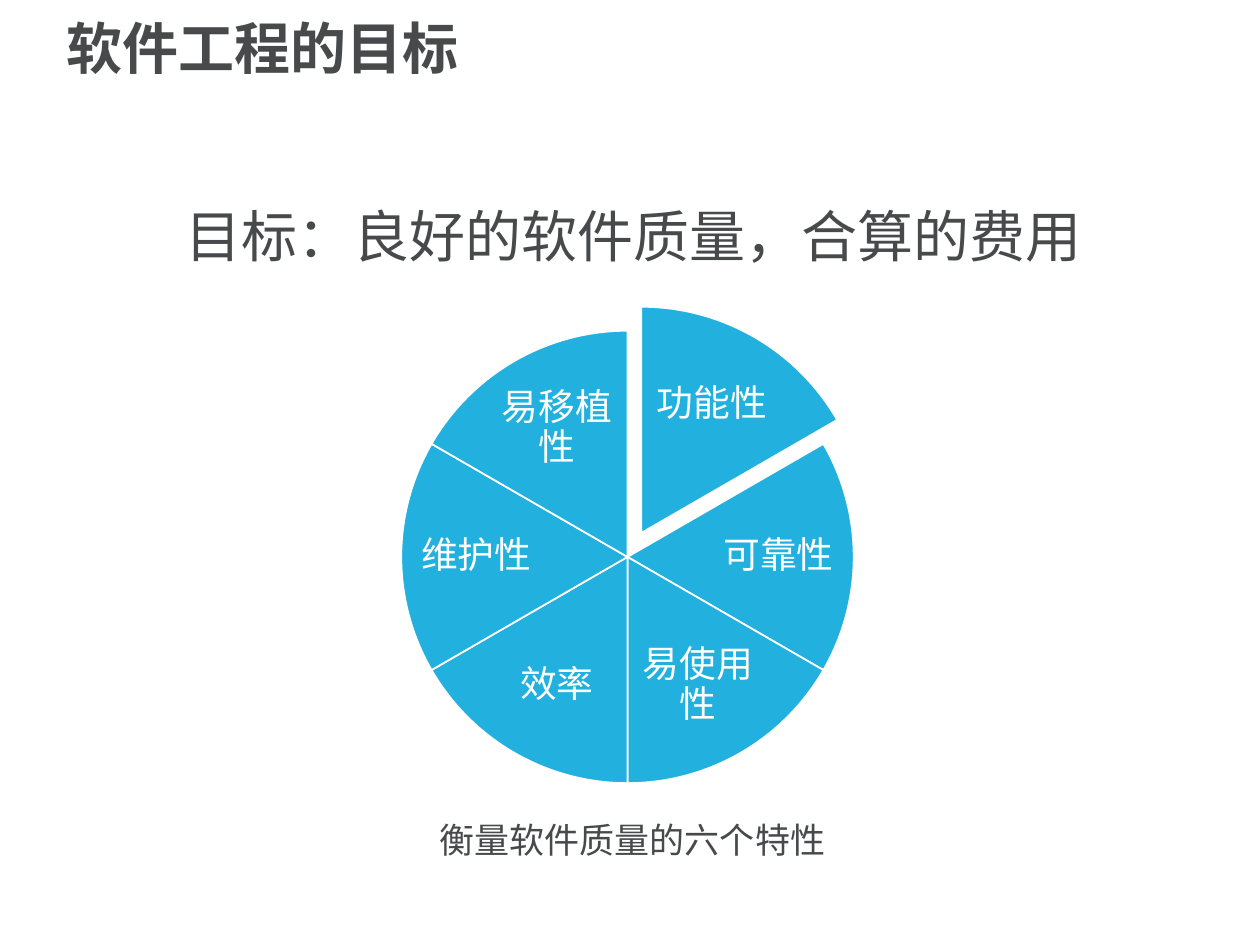
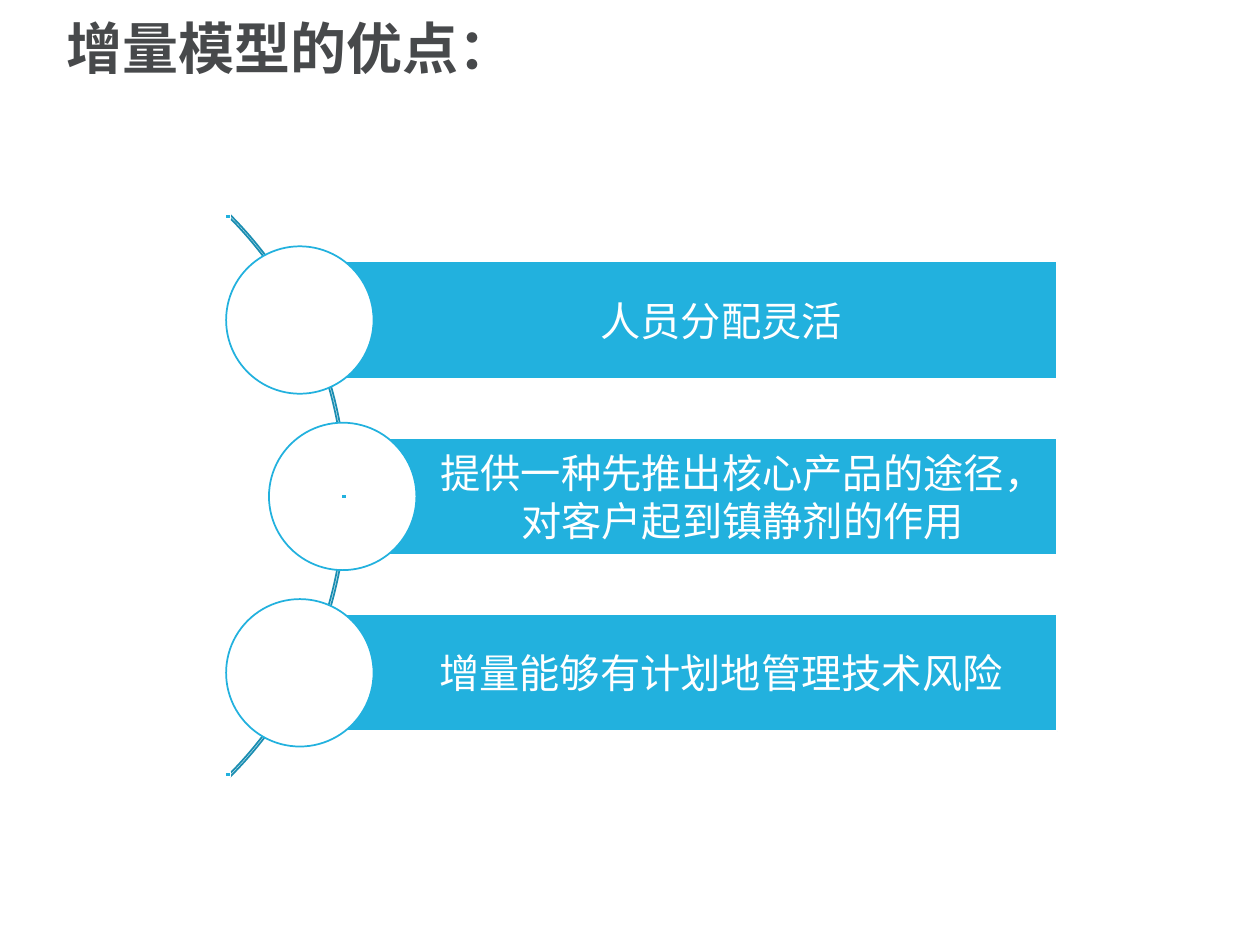
import math

from lxml import etree
from pptx import Presentation
from pptx.dml.color import RGBColor
from pptx.enum.lang import MSO_LANGUAGE_ID
from pptx.enum.shapes import MSO_SHAPE
from pptx.enum.text import MSO_ANCHOR, PP_ALIGN
from pptx.oxml.ns import qn
from pptx.util import Inches, Pt

PIE, RECT, OVAL, ARC = (MSO_SHAPE.PIE, MSO_SHAPE.RECTANGLE,
                        MSO_SHAPE.OVAL, MSO_SHAPE.BLOCK_ARC)
MIDDLE, TOP = MSO_ANCHOR.MIDDLE, MSO_ANCHOR.TOP
LEFT, CENTER = PP_ALIGN.LEFT, PP_ALIGN.CENTER
CHINESE = MSO_LANGUAGE_ID.SIMPLIFIED_CHINESE
INK, BLUE, DARK_BLUE, WHITE = "47494B", "22B1DE", "1B8EB2", "FFFFFF"
TITLE_FONT, LABEL_FONT = "Noto Sans CJK SC", "Calibri"
DEFAULT_INSETS = (0.1, 0.05, 0.1, 0.05)


def rgb(color):
    """Turn a hex string into a colour."""
    return RGBColor.from_string(color)


class Deck:
    """Hold the shared style and the slide being built."""

    def __init__(self):
        """Start an empty 10 by 7.5 inch presentation."""
        self.prs = Presentation()
        self.prs.slide_width, self.prs.slide_height = Inches(10), Inches(7.5)
        self.s = None

    def slide(self, title):
        """Add a slide with the common title style."""
        self.s = self.prs.slides.add_slide(self.prs.slide_layouts[5])
        sp = self.s.shapes.title
        sp.left, sp.top, sp.width, sp.height = map(Inches, (0.43, 0.06, 9.05, 0.7))
        self.fill_text(sp, title, 32, INK, TITLE_FONT, LEFT, spacing=0.9, bold=True)

    def fill_text(self, sp, text, size, color, font=LABEL_FONT, align=CENTER,
                  anchor=MIDDLE, insets=DEFAULT_INSETS, spacing=1.0, bold=False,
                  wrap=True):
        """Put one formatted paragraph into a shape."""
        tf = sp.text_frame
        tf.text = text
        tf.word_wrap, tf.vertical_anchor = wrap, anchor
        (tf.margin_left, tf.margin_top,
         tf.margin_right, tf.margin_bottom) = map(Inches, insets)
        p = tf.paragraphs[0]
        p.alignment, p.line_spacing = align, spacing
        r = p.runs[0]
        r.font.size, r.font.name, r.font.bold = Pt(size), font, bold
        r.font.color.rgb = rgb(color)
        r.font.language_id = CHINESE
        latin = r.font._element.find(qn("a:latin"))
        latin.addnext(etree.Element(qn("a:ea"), typeface=font))

    def text(self, box, text, size, color, **style):
        """Add a text box."""
        sp = self.s.shapes.add_textbox(*map(Inches, box))
        self.fill_text(sp, text, size, color, **style)

    def shape(self, kind, box, fill=BLUE, line=WHITE, adjustments=()):
        """Add a preset shape, unfilled when fill is None."""
        sp = self.s.shapes.add_shape(kind, *map(Inches, box))
        sp.shadow.inherit = False
        for i, value in enumerate(adjustments):
            sp.adjustments[i] = value
        if fill:
            sp.fill.solid()
            sp.fill.fore_color.rgb = rgb(fill)
        else:
            sp.fill.background()
        sp.line.color.rgb = rgb(line)
        sp.line.width = Pt(1)
        return sp


def angle_value(degrees):
    """Convert degrees to the adjustment scale of arcs and pies."""
    return degrees % 360 * 0.6


def quality_slide(deck):
    """Build the wheel of six software quality traits."""
    deck.slide("软件工程的目标")
    cx, cy, diameter, pull = 4.98, 4.42, 3.59, 0.22
    label_w, label_h = 1.06, 0.76
    traits = (("功能性", 0.56, -1.02), ("可靠性", 1.2, 0), ("易使用性", 0.56, 1.02),
              ("效率", -0.56, 1.02), ("维护性", -1.2, 0), ("易移植性", -0.56, -1.02))
    step = 360 / len(traits)
    for i, (trait, dx, dy) in enumerate(traits):
        start = 270 + i * step
        middle = math.radians(start + step / 2)
        offset = pull if i == 0 else 0
        x, y = cx + offset * math.cos(middle), cy + offset * math.sin(middle)
        deck.shape(PIE, (x - diameter / 2, y - diameter / 2, diameter, diameter),
                   adjustments=(angle_value(start), angle_value(start + step)))
        deck.text((x + dx - label_w / 2, y + dy - label_h / 2, label_w, label_h),
                  trait, 21, WHITE, insets=(0.03,) * 4, spacing=0.9)
    deck.text((1.34, 1.55, 7.38, 0.64), "目标：良好的软件质量，合算的费用", 32, INK,
              font="Arial", anchor=TOP, wrap=False)
    deck.text((3.39, 6.45, 4.72, 0.44), "衡量软件质量的六个特性", 20, INK,
              font="DejaVu Sans", align=LEFT, anchor=TOP)


def advantages_slide(deck):
    """Build the curved list of advantages."""
    deck.slide("增量模型的优点：")
    deck.shape(ARC, (-3.56, 0.78, 6.31, 6.31), fill=None, line=DARK_BLUE,
               adjustments=(angle_value(315), angle_value(45), 0.003))
    right, bar_h, circle, pitch = 8.39, 0.93, 1.17, 1.4
    advantages = (("人员分配灵活", 2.38),
                  ("提供一种先推出核心产品的途径，对客户起到镇静剂的作用", 2.72),
                  ("增量能够有计划地管理技术风险", 2.38))
    for i, (advantage, x) in enumerate(advantages):
        y = 2.54 + i * pitch
        bar = deck.shape(RECT, (x, y - bar_h / 2, right - x, bar_h))
        deck.fill_text(bar, advantage, 23, WHITE, insets=(0.74, 0.06, 0.06, 0.06))
        deck.shape(OVAL, (x - circle / 2, y - circle / 2, circle, circle),
                   fill=WHITE, line=BLUE)
    for x, y in ((1.79, 1.7), (2.71, 3.92), (1.79, 6.13)):
        deck.shape(RECT, (x, y, 0.04, 0.04))


def main():
    """Build and save both slides."""
    deck = Deck()
    quality_slide(deck)
    advantages_slide(deck)
    deck.prs.save("out.pptx")


if __name__ == "__main__":
    main()
